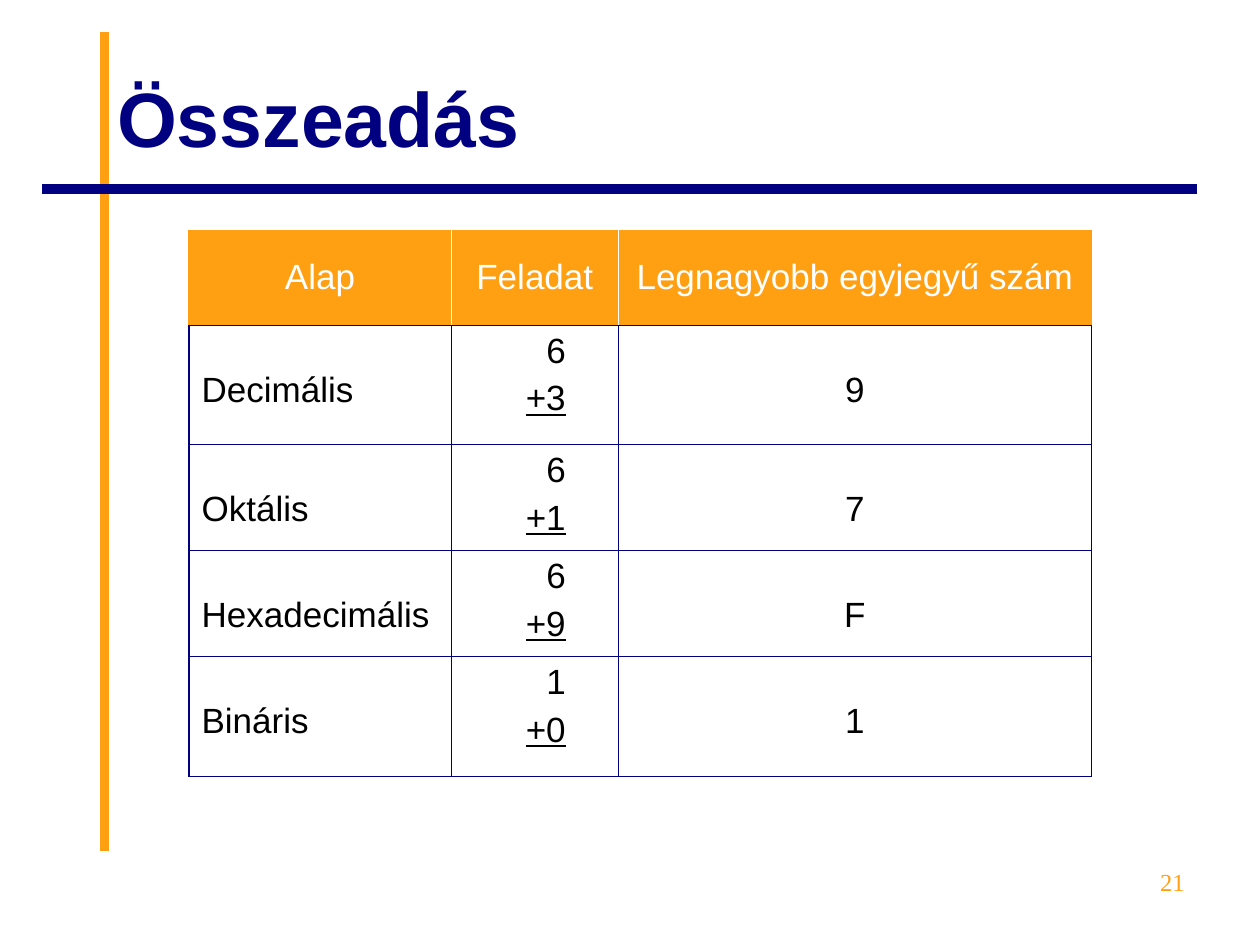
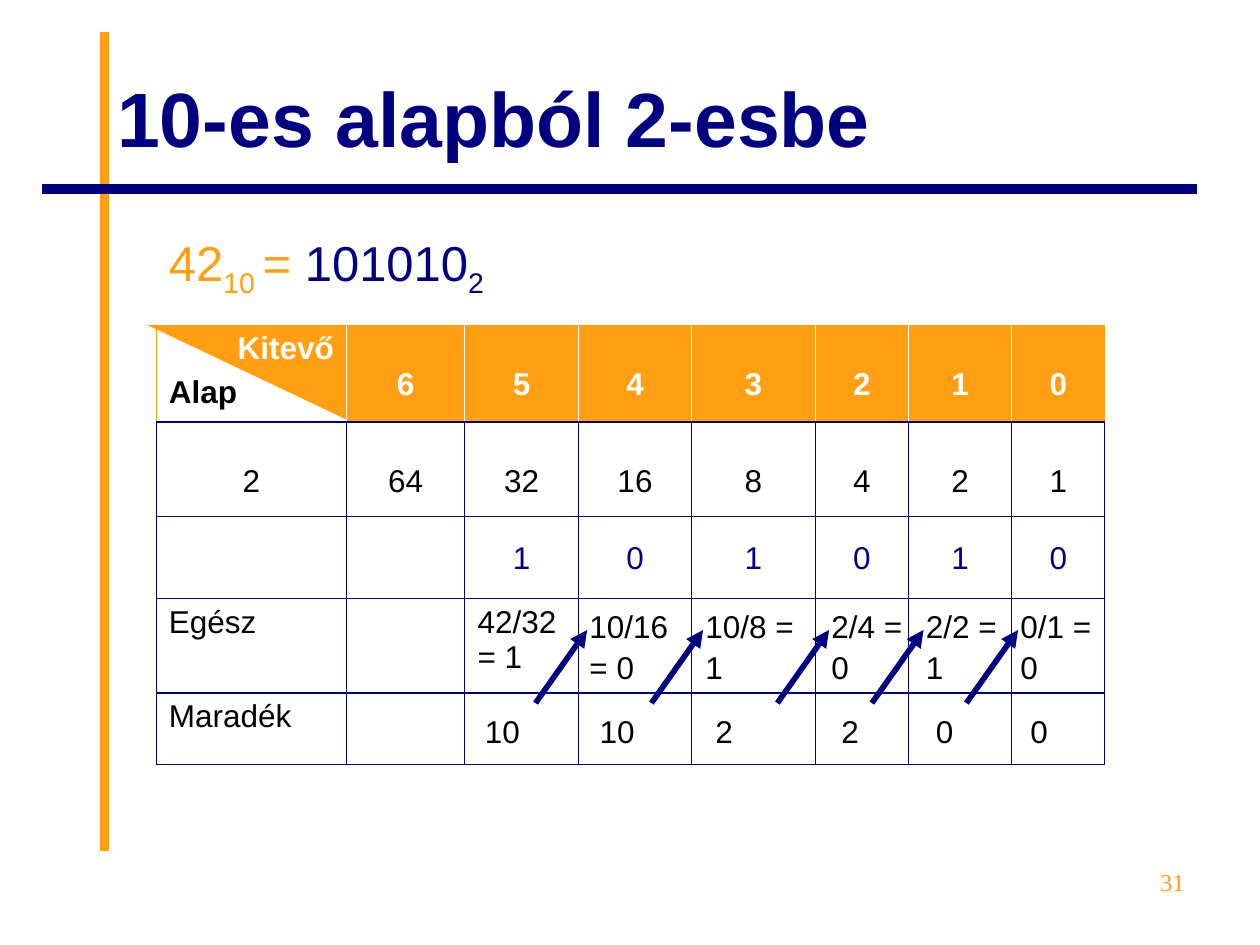
from dataclasses import dataclass
from typing import Any, Optional

from lxml.etree import SubElement
from pptx import Presentation
from pptx.dml.color import RGBColor
from pptx.enum.shapes import MSO_CONNECTOR, MSO_SHAPE
from pptx.enum.text import MSO_ANCHOR, MSO_AUTO_SIZE, PP_ALIGN
from pptx.oxml.ns import qn
from pptx.util import Inches, Pt

LEFT, CENTER, RIGHT = PP_ALIGN.LEFT, PP_ALIGN.CENTER, PP_ALIGN.RIGHT
NO_GRID_STYLE = "{2D5ABB26-0587-4C30-8999-92F81FD0307C}"


@dataclass(frozen=True)
class Theme:
    navy: str = "000080"
    orange: str = "FF9F11"
    white: str = "FFFFFF"
    black: str = "000000"
    font: str = "Arial"
    number_font: str = "Times New Roman"
    title_size: float = 44
    formula_size: float = 28
    sum_size: float = 20
    power_size: float = 18
    number_size: float = 14
    band_width: float = 5.5
    arrow_width: float = 3.25
    border_width: float = 0.75


THEME = Theme()


@dataclass(frozen=True)
class Run:
    text: str
    color: str = THEME.black
    size: float = THEME.power_size
    bold: bool = False
    underline: bool = False
    subscript: bool = False
    font: str = THEME.font


@dataclass(frozen=True)
class Line:
    """One paragraph."""
    runs: tuple[Run, ...]
    align: Any = LEFT
    spacing: float = 1.0
    before: float = 0


@dataclass(frozen=True)
class Borders:
    """Border colours in the order that the cell XML needs; None hides a side."""
    left: Optional[str] = THEME.navy
    right: Optional[str] = THEME.navy
    top: Optional[str] = THEME.navy
    bottom: Optional[str] = THEME.navy


@dataclass(frozen=True)
class Cell:
    lines: tuple[Line, ...] = ()
    fill: Optional[str] = None
    borders: Borders = Borders()
    margin_right: float = 0.1


@dataclass(frozen=True)
class DivisionStep:
    left: float
    quotient: str
    remainder: str


def set_all(target: Any, values: dict[str, Any]) -> None:
    for name, value in values.items():
        setattr(target, name, value)


def line_of(text: str, align: Any = LEFT, spacing: float = 1.0,
            before: float = 0, **style: Any) -> Line:
    return Line((Run(text, **style),), align, spacing, before)


def write_lines(frame: Any, lines: tuple[Line, ...]) -> None:
    for index, line in enumerate(lines):
        paragraph = frame.paragraphs[0] if index == 0 else frame.add_paragraph()
        set_all(paragraph, {"alignment": line.align, "line_spacing": line.spacing,
                            "space_before": Pt(line.before)})
        for part in line.runs:
            run = paragraph.add_run()
            run.text = part.text
            set_all(run.font, {"name": part.font, "size": Pt(part.size),
                               "bold": part.bold, "underline": part.underline})
            run.font.color.rgb = RGBColor.from_string(part.color)
            if part.subscript:
                run._r.get_or_add_rPr().set("baseline", "-25000")


def add_text(shapes: Any, left: float, top: float, width: float, height: float,
             line: Line) -> None:
    box = shapes.add_textbox(Inches(left), Inches(top), Inches(width), Inches(height))
    box.text_frame.word_wrap = True
    write_lines(box.text_frame, (line,))


def add_line(shapes: Any, start: tuple[float, float], end: tuple[float, float],
             color: str, width: float, arrow: bool = False) -> Any:
    connector = shapes.add_connector(
        MSO_CONNECTOR.STRAIGHT, *(Inches(value) for value in (*start, *end)))
    connector.line.color.rgb = RGBColor.from_string(color)
    connector.line.width = Pt(width)
    if arrow:
        SubElement(connector.line._get_or_add_ln(), qn("a:tailEnd"), type="triangle")
    SubElement(connector.element.spPr, qn("a:effectLst"))
    return connector


def add_bands(layout: Any, slide: Any) -> None:
    """Draw the two crossing bands and move them to the shared layout."""
    for start, end, color in (((0.83, 6.75), (0.83, 0.25), THEME.orange),
                              ((9.5, 1.5), (0.33, 1.5), THEME.navy)):
        band = add_line(slide.shapes, start, end, color, THEME.band_width)
        layout.shapes.element.append(band.element)


def add_titled_slide(presentation: Any, layout: Any, title: str, number: str) -> Any:
    slide = presentation.slides.add_slide(layout)
    placeholder = slide.shapes.title
    set_all(placeholder, {"left": Inches(0.83), "top": Inches(0.3),
                          "width": Inches(8.67), "height": Inches(1.25)})
    set_all(placeholder.text_frame, {"vertical_anchor": MSO_ANCHOR.MIDDLE,
                                     "word_wrap": True,
                                     "auto_size": MSO_AUTO_SIZE.NONE})
    write_lines(placeholder.text_frame, (
        line_of(title, color=THEME.navy, size=THEME.title_size, bold=True),))
    add_text(slide.shapes, 7.17, 6.83, 2.33, 0.52, line_of(
        number, RIGHT, color=THEME.orange, size=THEME.number_size,
        font=THEME.number_font))
    return slide


def draw_borders(cell: Any, borders: Borders) -> None:
    properties = cell._tc.get_or_add_tcPr()
    for tag, color in (("lnL", borders.left), ("lnR", borders.right),
                       ("lnT", borders.top), ("lnB", borders.bottom)):
        edge = SubElement(properties, qn(f"a:{tag}"), w=str(Pt(THEME.border_width)))
        if color is None:
            SubElement(edge, qn("a:noFill"))
        else:
            SubElement(SubElement(edge, qn("a:solidFill")), qn("a:srgbClr"), val=color)


def add_grid(slide: Any, left: float, top: float, widths: list[float],
             heights: list[float], rows: list[list[Cell]]) -> Any:
    frame = slide.shapes.add_table(
        len(rows), len(widths), Inches(left), Inches(top),
        Inches(sum(widths)), Inches(sum(heights)))
    table = frame.table
    set_all(table, {"first_row": False, "horz_banding": False})
    table._tbl.tblPr.find(qn("a:tableStyleId")).text = NO_GRID_STYLE
    for column, width in zip(table.columns, widths):
        column.width = Inches(width)
    for row, height, contents in zip(table.rows, heights, rows):
        row.height = Inches(height)
        for cell, content in zip(row.cells, contents):
            cell.margin_right = Inches(content.margin_right)
            draw_borders(cell, content.borders)
            if content.fill:
                cell.fill.solid()
                cell.fill.fore_color.rgb = RGBColor.from_string(content.fill)
            else:
                cell.fill.background()
            write_lines(cell.text_frame, content.lines)
    return table


def header_borders(index: int, count: int) -> Borders:
    return Borders(left=THEME.white if index else THEME.orange,
                   right=THEME.white if index < count - 1 else THEME.orange,
                   top=THEME.orange)


def centered_cell(text: str, spacing: float, **style: Any) -> Cell:
    return Cell((line_of(text, CENTER, spacing, **style),) if text else ())


def label_cell(text: str) -> Cell:
    return Cell((line_of(text),) if text else ())


def fill_addition(slide: Any) -> None:
    size = THEME.sum_size
    headings = ("Alap", "Feladat", "Legnagyobb egyjegyű szám")
    sums = (("Decimális", "6", "+3", "9"), ("Oktális", "6", "+1", "7"),
            ("Hexadecimális", "6", "+9", "F"), ("Bináris", "1", "+0", "1"))
    rows = [[Cell((line_of(text, CENTER, 1.55, color=THEME.white, size=size),),
                  THEME.orange, header_borders(index, len(headings)))
             for index, text in enumerate(headings)]]
    for base, first, second, largest in sums:
        task = (line_of(first, RIGHT, size=size),
                line_of(second, RIGHT, before=5, size=size, underline=True))
        rows.append([Cell((line_of(base, spacing=2, size=size),)),
                     Cell(task, margin_right=0.42),
                     centered_cell(largest, 2, size=size)])
    add_grid(slide, 1.5, 1.83, [2.08, 1.33, 3.75],
             [0.75, 0.95, 0.84, 0.84, 0.95], rows)


def power_rows() -> list[list[Cell]]:
    exponents = range(6, -1, -1)
    columns = len(exponents) + 1
    size = THEME.formula_size
    formula = Line((Run("42", THEME.orange, size),
                    Run("10 ", THEME.orange, size, subscript=True),
                    Run("= ", THEME.orange, size),
                    Run("101010", THEME.navy, size),
                    Run("2", THEME.navy, size, subscript=True)))
    open_borders = Borders(None, None, None, THEME.orange)
    corner = Cell((line_of("Kitevő", RIGHT, color=THEME.white, bold=True),
                   line_of("Alap", before=4.5, bold=True)),
                  borders=header_borders(0, columns))
    header = [Cell((line_of(str(exponent), CENTER, 2, color=THEME.white, bold=True),),
                   THEME.orange, header_borders(index, columns))
              for index, exponent in enumerate(exponents, 1)]
    powers = ["2", *(str(2 ** exponent) for exponent in exponents)]
    return [
        [Cell((formula,), borders=open_borders)]
        + [Cell(borders=open_borders)] * (columns - 1),
        [corner, *header],
        [centered_cell(text, 2) for text in powers],
        [centered_cell(text, 1.5, color=THEME.navy) for text in ["", "", *"101010"]],
        [label_cell(text) for text in ["Egész", "", "42/32= 1"] + [""] * 5],
        [label_cell(text) for text in ["Maradék"] + [""] * 7],
    ]


def add_division_step(slide: Any, step: DivisionStep) -> None:
    shapes = slide.shapes.add_group_shape().shapes
    add_line(shapes, (step.left - 0.33, 5.58), (step.left + 0.08, 5),
             THEME.navy, THEME.arrow_width, arrow=True)
    add_text(shapes, step.left, 4.75, 0.92, 0.7, line_of(step.quotient, spacing=1.07))
    add_text(shapes, step.left + 0.08, 5.58, 0.58, 0.4,
             line_of(step.remainder, spacing=1.07))


def fill_conversion(slide: Any) -> None:
    corner = slide.shapes.add_shape(MSO_SHAPE.RIGHT_TRIANGLE, Inches(1.17),
                                    Inches(2.58), Inches(1.58), Inches(0.75))
    corner.rotation = 180
    corner.shadow.inherit = False
    corner.fill.solid()
    corner.fill.fore_color.rgb = RGBColor.from_string(THEME.orange)
    corner.line.fill.background()

    table = add_grid(slide, 1.24, 1.83,
                     [1.51, 0.94, 0.9, 0.9, 0.98, 0.74, 0.82, 0.74],
                     [0.75, 0.77, 0.75, 0.65, 0.75, 0.57], power_rows())
    table.cell(0, 0).merge(table.cell(0, 7))

    for step in (DivisionStep(4.58, "10/16 = 0", "10"),
                 DivisionStep(5.5, "10/8 = 1", "2"),
                 DivisionStep(6.5, "2/4 = 0", "2"),
                 DivisionStep(7.25, "2/2 = 1", "0"),
                 DivisionStep(8, "0/1 = 0", "0")):
        add_division_step(slide, step)
    add_text(slide.shapes, 3.75, 5.58, 0.5, 0.4, line_of("10", spacing=1.07))


def main() -> None:
    presentation = Presentation()
    set_all(presentation, {"slide_width": Inches(10), "slide_height": Inches(7.5)})
    layout = presentation.slide_layouts.get_by_name("Title Only")
    addition = add_titled_slide(presentation, layout, "Összeadás", "21")
    add_bands(layout, addition)
    fill_addition(addition)
    fill_conversion(add_titled_slide(presentation, layout, "10-es alapból 2-esbe", "31"))
    presentation.save("out.pptx")


if __name__ == "__main__":
    main()
